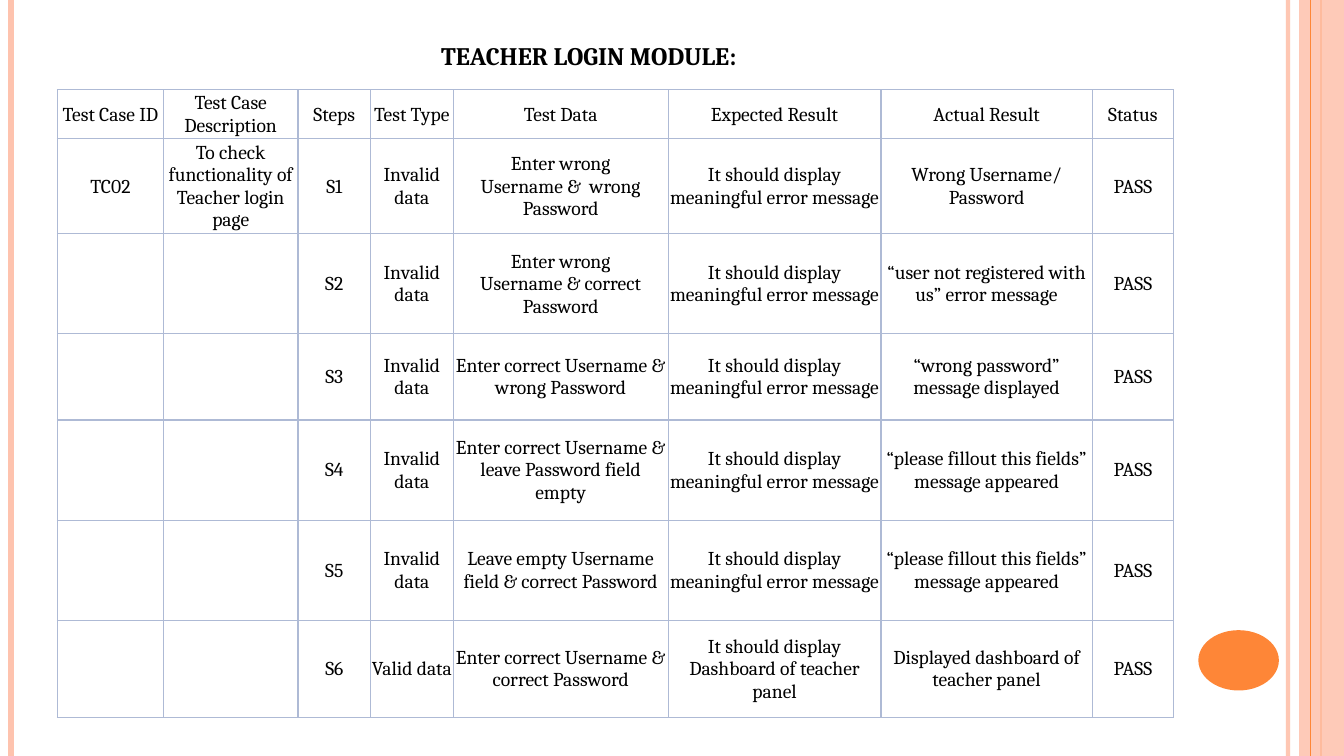
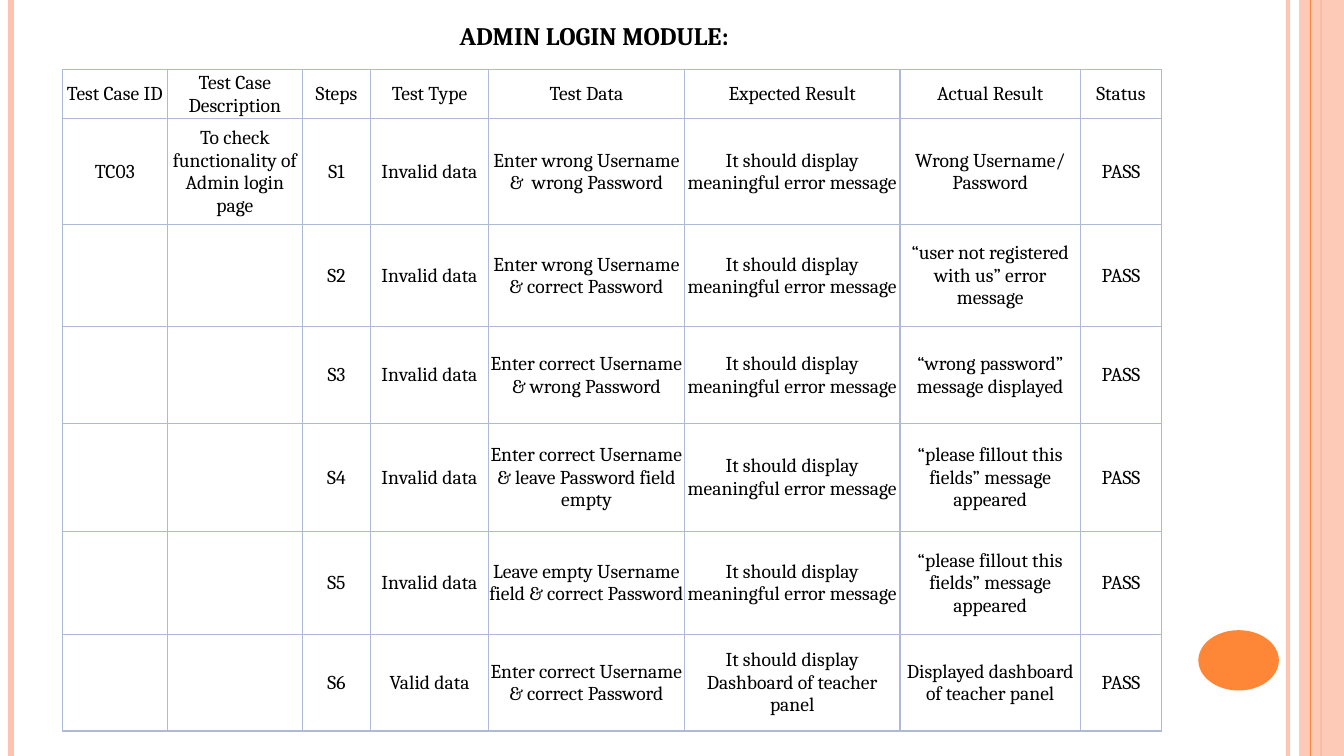
from dataclasses import dataclass

from lxml import etree
from pptx import Presentation
from pptx import util as u
from pptx.dml.color import RGBColor
from pptx.enum import shapes, text
from pptx.oxml.ns import qn

COLORS = {
    "peach": "FEC3AE",
    "orange": "FE8637",
    "border": "AEBAD5",
    "text": "000000",
}
FONT = "Cambria"
SLIDE_WIDTH, SLIDE_HEIGHT = 33.87, 19.05
CELL_MARGIN = 0.02

HEADERS = ("Test Case ID", "Test Case Description", "Steps", "Test Type",
           "Test Data", "Expected Result", "Actual Result", "Status")
ERROR_EXPECTED = "It should display\nmeaningful error message"
DASHBOARD_EXPECTED = "It should display\nDashboard of teacher panel"
FILL_FIELDS = "“please fillout this fields” message appeared"


@dataclass(frozen=True)
class Rule:
    """A full-height vertical line."""
    x: float
    color: str
    width: float
    opacity: int = 100


@dataclass(frozen=True)
class Step:
    data: str
    actual: str
    kind: str = "Invalid data"
    expected: str = ERROR_EXPECTED


@dataclass(frozen=True)
class Module:
    """One login module; lengths are in centimetres."""
    role: str
    case_id: str
    title_box: tuple[float, float, float, float]
    table_origin: tuple[float, float]
    columns: tuple[float, ...]
    rows: tuple[float, ...]
    wrong_break: str  # what follows "Enter wrong" in the test data


RULES = (
    Rule(32.46, "peach", 3, 93),
    Rule(0.28, "peach", 4.5),
    Rule(33.3, "orange", 1.5),
    Rule(33.02, "orange", 0.75),
)

MODULES = (
    Module("Teacher", "TC02", (7.04, 0.89, 15.6, 1.02), (1.45, 2.26),
           (2.67, 3.39, 1.83, 2.08, 5.42, 5.36, 5.33, 2.04),
           (1.24, 2.39, 2.52, 2.17, 2.53, 2.52, 2.44), "\n"),
    Module("Admin", "TC03", (7.62, 0.38, 14.71, 1.02), (1.57, 1.75),
           (2.65, 3.4, 1.72, 2.97, 4.94, 5.43, 4.55, 2.04),
           (1.24, 2.67, 2.57, 2.44, 2.72, 2.59, 2.44), " "),
)


def rgb(name: str) -> RGBColor:
    return RGBColor.from_string(COLORS[name])


def set_opacity(shape, percent: int) -> None:
    color = shape.element.spPr.find(".//" + qn("a:srgbClr"))
    etree.SubElement(color, qn("a:alpha"), val=str(percent * 1000))


def add_rule(slide, rule: Rule) -> None:
    x = u.Cm(rule.x)
    line = slide.shapes.add_connector(
        shapes.MSO_CONNECTOR.STRAIGHT, x, 0, x, u.Cm(SLIDE_HEIGHT))
    line.line.color.rgb = rgb(rule.color)
    line.line.width = u.Pt(rule.width)
    if rule.opacity < 100:
        set_opacity(line, rule.opacity)
    etree.SubElement(line.element.spPr, qn("a:effectLst"))


def add_solid(slide, kind, box: tuple[float, ...], color: str):
    shape = slide.shapes.add_shape(kind, *map(u.Cm, box))
    shape.shadow.inherit = False
    shape.fill.solid()
    shape.fill.fore_color.rgb = rgb(color)
    shape.line.fill.background()
    return shape


def decorate_layout(slide, layout) -> None:
    """Draw the shared frame on a slide, then move it to the layout."""
    for rule in RULES[:-1]:
        add_rule(slide, rule)
    band = add_solid(slide, shapes.MSO_SHAPE.RECTANGLE,
                     (32.74, 0, SLIDE_WIDTH - 32.74, SLIDE_HEIGHT), "peach")
    set_opacity(band, 87)
    add_rule(slide, RULES[-1])
    add_solid(slide, shapes.MSO_SHAPE.OVAL, (30.2, 15.88, 2.03, 1.52), "orange")
    for shape in list(slide.shapes):
        layout.element.cSld.spTree.append(shape.element)


def style_paragraphs(frame, size: float, bold: bool = False) -> None:
    for paragraph in frame.paragraphs:
        paragraph.alignment = text.PP_ALIGN.CENTER
        paragraph.font.name = FONT
        paragraph.font.size = u.Pt(size)
        paragraph.font.bold = bold
        paragraph.font.color.rgb = rgb("text")


def add_title(slide, module: Module) -> None:
    frame = slide.shapes.add_textbox(*map(u.Cm, module.title_box)).text_frame
    frame.word_wrap = True
    frame.auto_size = text.MSO_AUTO_SIZE.SHAPE_TO_FIT_TEXT
    frame.text = f"{module.role.upper()} LOGIN MODULE:"
    style_paragraphs(frame, 18, bold=True)


def set_borders(cell) -> None:
    properties = cell._tc.get_or_add_tcPr()
    for index, side in enumerate(("lnL", "lnR", "lnT", "lnB")):
        line = etree.Element(qn(f"a:{side}"), w=str(u.Pt(1)))
        fill = etree.SubElement(line, qn("a:solidFill"))
        etree.SubElement(fill, qn("a:srgbClr"), val=COLORS["border"])
        properties.insert(index, line)


def fill_cell(cell, content: str) -> None:
    cell.fill.background()
    set_borders(cell)
    cell.vertical_anchor = text.MSO_ANCHOR.MIDDLE
    cell.margin_left = cell.margin_right = cell.margin_top = u.Cm(CELL_MARGIN)
    cell.margin_bottom = 0
    cell.text = content
    style_paragraphs(cell.text_frame, 14)


def table_rows(module: Module) -> list[tuple[str, ...]]:
    wrong = f"Enter wrong{module.wrong_break}Username &"
    correct = "Enter correct Username &"
    steps = (
        Step(f"{wrong}  wrong Password", "Wrong Username/\nPassword"),
        Step(f"{wrong} correct Password",
             "“user not registered with us” error message"),
        Step(f"{correct} wrong Password", "“wrong password” message displayed"),
        Step(f"{correct} leave Password field empty", FILL_FIELDS),
        Step("Leave empty Username field & correct Password", FILL_FIELDS),
        Step(f"{correct} correct Password", "Displayed dashboard of teacher panel",
             "Valid data", DASHBOARD_EXPECTED),
    )
    description = f"To check functionality of {module.role} login page"
    rows = [HEADERS]
    for number, step in enumerate(steps, 1):
        case = (module.case_id, description) if number == 1 else ("", "")
        rows.append((*case, f"S{number}", step.kind, step.data,
                     step.expected, step.actual, "PASS"))
    return rows


def add_test_table(slide, module: Module) -> None:
    size = sum(module.columns), sum(module.rows)
    table = slide.shapes.add_table(
        len(module.rows), len(module.columns),
        *map(u.Cm, module.table_origin + size)).table
    table.first_row = table.horz_banding = False
    for column, width in zip(table.columns, module.columns):
        column.width = u.Cm(width)
    for row, height, contents in zip(table.rows, module.rows, table_rows(module)):
        row.height = u.Cm(height)
        for cell, content in zip(row.cells, contents):
            fill_cell(cell, content)


def main() -> None:
    presentation = Presentation()
    presentation.slide_width = u.Cm(SLIDE_WIDTH)
    presentation.slide_height = u.Cm(SLIDE_HEIGHT)
    blank = presentation.slide_layouts[6]
    for index, module in enumerate(MODULES):
        slide = presentation.slides.add_slide(blank)
        if index == 0:
            decorate_layout(slide, blank)
        add_title(slide, module)
        add_test_table(slide, module)
    presentation.save("out.pptx")


if __name__ == "__main__":
    main()
